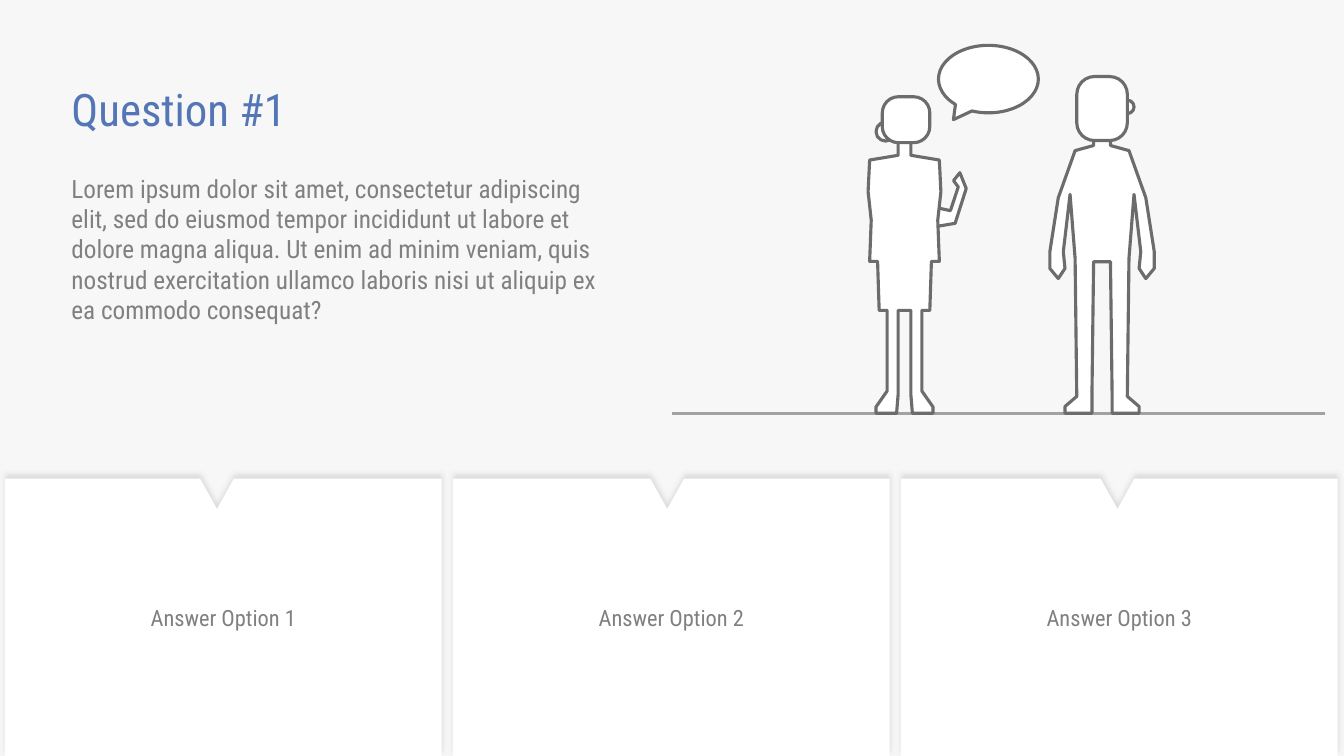
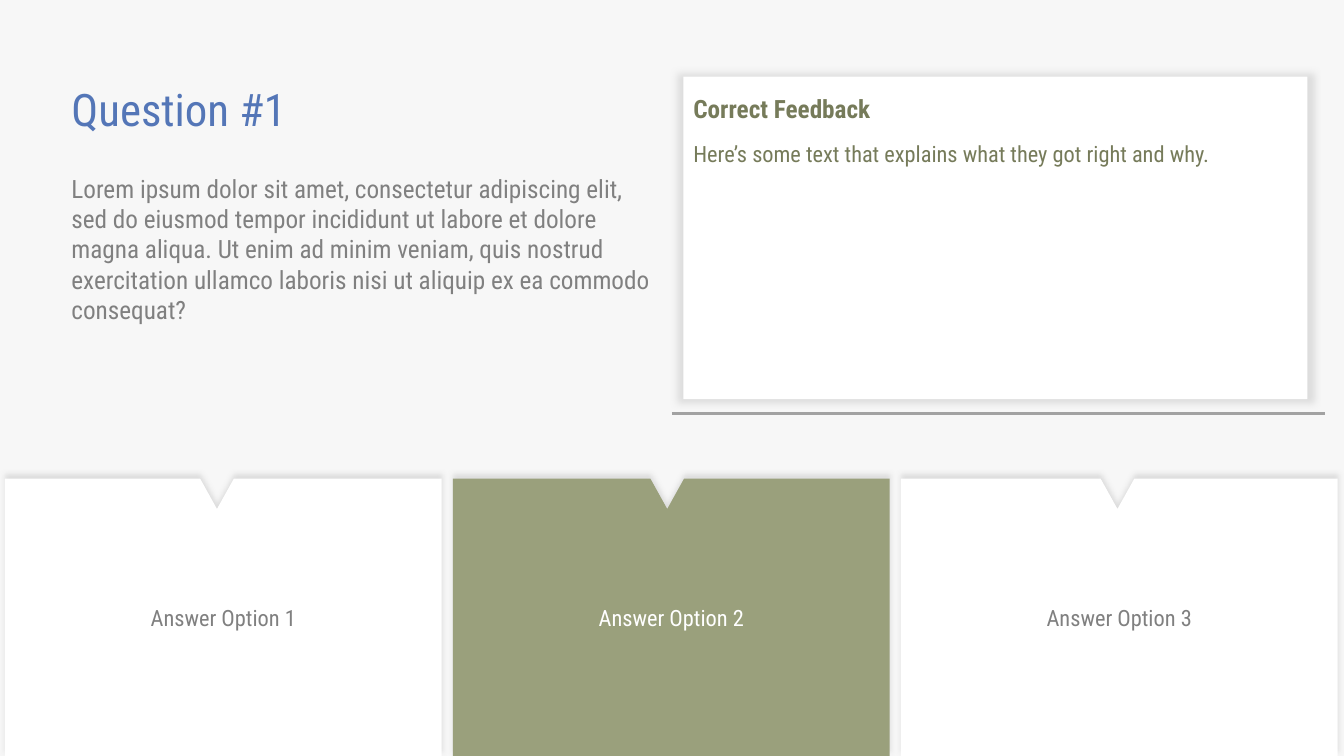
from dataclasses import dataclass

from lxml import etree
from pptx import Presentation
from pptx.dml.color import RGBColor
from pptx.enum import shapes, text
from pptx.oxml import ns
from pptx import util as u

SLIDE_W, SLIDE_H = u.Inches(13.33), u.Inches(7.5)
FONT = "Roboto Condensed"
PAPER, WHITE, GREY = "F7F7F7", "FFFFFF", "808080"
BLUE, GREEN, DARK_GREEN = "5476B7", "9AA07C", "767B5A"
OUTLINE, GROUND, SHADOW = "6C6C6C", "A2A2A2", "B6B6B6"

# Lengths are percentages of the slide's width and height.
MARGIN, TOP = 4.58, 10.13
HALF = 50
GROUND_Y = 54.67
CARD_TOP, CARD_LEFT, CARD_WIDTH, CARD_PITCH = 63.33, 0.37, 32.5, 33.33
NOTCH_LEFT, NOTCH_PITCH, NOTCH_HALF, NOTCH_DEPTH = 16.15, 33.5, 1.25, 4
PANEL_LEFT, PANEL_WIDTH = 50.85, 46.43

QUESTION = (
    "Lorem ipsum dolor sit amet, consectetur adipiscing elit, sed do eiusmod "
    "tempor incididunt ut labore et dolore magna aliqua. Ut enim ad minim veniam, "
    "quis nostrud exercitation ullamco laboris nisi ut aliquip ex ea commodo consequat?"
)
OPTIONS = ["Answer Option 1", "Answer Option 2", "Answer Option 3"]


@dataclass
class Person:
    """A standing figure; its parts are in percent of its own height.

    side holds the right half of the body, as (distance from the middle,
    distance from the crown); the left half is its mirror image.
    """
    middle: float
    crown: float
    head: tuple
    head_detail: tuple
    side: dict
    forearm: tuple = ()


LISTENER = Person(
    middle=82, crown=TOP, head=(-7.5, 0, 15, 19), head_detail=(5.5, 7, 4, 4),
    side={
        "neck": (2.5, 17), "collar": (2.5, 20.5), "shoulder": (8, 22),
        "elbow": (13, 36), "wrist": (15.5, 52), "knuckles": (15.5, 57),
        "fingertips": (13, 60), "palm": (11, 57), "cuff": (11.5, 52),
        "armpit": (9.5, 35), "hip": (8, 54), "ankle": (7.5, 95),
        "toe": (11, 98), "sole": (11, 100), "instep": (3, 100),
        "inner ankle": (3, 95), "crotch": (2.5, 55),
    })
SPEAKER = Person(
    middle=67.3, crown=12.8, head=(-7, 0, 15, 14.5), head_detail=(-9, 8, 6, 6),
    side={
        "neck": (2, 13), "collar": (2, 18.5), "shoulder": (11, 20),
        "sleeve": (11.5, 30), "waist": (10.5, 39), "jacket hem": (11, 52),
        "skirt top": (8.5, 52), "skirt hem": (8, 67.5), "knee": (5.5, 67.5),
        "ankle": (5.5, 93), "toe": (9, 98), "sole": (9, 100), "instep": (2.5, 100),
        "inner ankle": (2, 94), "inner knee": (2, 67.5),
    },
    forearm=((10, 41), (16, 40), (19.5, 29), (17.5, 24), (15.5, 26.5),
             (17, 28.5), (14.5, 36), (10, 35)))


def across(share):
    return u.Emu(round(SLIDE_W * share / 100))


def down(share):
    return u.Emu(round(SLIDE_H * share / 100))


def box(left, top, width, height):
    return across(left), down(top), across(width), down(height)


def colour(value):
    return RGBColor.from_string(value)


def paint(shape, fill, outline=None):
    """Give a shape a flat fill and, if asked, a round-jointed outline."""
    shape.shadow.inherit = False
    shape.fill.solid()
    shape.fill.fore_color.rgb = colour(fill)
    if outline is None:
        shape.line.fill.background()
        return
    shape.line.color.rgb = colour(outline)
    shape.line.width = u.Pt(2.25)
    line = shape._element.spPr.find(ns.qn("a:ln"))
    etree.SubElement(line, ns.qn("a:round"))


def cast_shadow(shape, blur, distance=0, degrees=0, scale=100):
    effects = shape._element.spPr.find(ns.qn("a:effectLst"))
    size = str(scale * 1000)
    shadow = etree.SubElement(
        effects, ns.qn("a:outerShdw"), blurRad=str(u.Pt(blur)),
        dist=str(u.Pt(distance)), dir=str(degrees * 60000),
        sx=size, sy=size, algn="ctr", rotWithShape="0")
    tint = etree.SubElement(shadow, ns.qn("a:srgbClr"), val=SHADOW)
    etree.SubElement(tint, ns.qn("a:alpha"), val="40000")


def write(paragraph, words, size, ink, bold=None):
    run = paragraph.add_run()
    run.text = words
    run.font.name = FONT
    run.font.size = u.Pt(size)
    run.font.bold = bold
    run.font.color.rgb = colour(ink)


def add_text(parent, place, words, size, ink, bold=None):
    frame = parent.add_textbox(*box(*place)).text_frame
    frame.word_wrap = True
    frame.auto_size = text.MSO_AUTO_SIZE.SHAPE_TO_FIT_TEXT
    write(frame.paragraphs[0], words, size, ink, bold)


def add_outline(slide, points):
    """Add a closed shape through points given in EMU."""
    builder = slide.shapes.build_freeform(*points[0])
    builder.add_line_segments(points[1:], close=True)
    return builder.convert_to_shape()


def add_card(slide, index, words, fill, ink):
    left = CARD_LEFT + index * CARD_PITCH
    right = left + CARD_WIDTH
    notch = NOTCH_LEFT + index * NOTCH_PITCH
    corners = [
        (left, CARD_TOP), (notch - NOTCH_HALF, CARD_TOP),
        (notch, CARD_TOP + NOTCH_DEPTH), (notch + NOTCH_HALF, CARD_TOP),
        (right, CARD_TOP), (right, 100), (left, 100),
    ]
    card = add_outline(slide, [(across(x), down(y)) for x, y in corners])
    paint(card, fill)
    cast_shadow(card, blur=4, distance=3, degrees=270)
    frame = card.text_frame
    frame.word_wrap = True
    frame.vertical_anchor = text.MSO_ANCHOR.MIDDLE
    frame.paragraphs[0].alignment = text.PP_ALIGN.CENTER
    write(frame.paragraphs[0], words, 16, ink)


def add_ground(slide):
    ground = slide.shapes.add_connector(
        shapes.MSO_CONNECTOR.STRAIGHT,
        across(HALF), down(GROUND_Y), across(98.55), down(GROUND_Y))
    ground.line.color.rgb = colour(GROUND)
    ground.line.width = u.Pt(2.25)
    etree.SubElement(ground._element.spPr, ns.qn("a:effectLst"))


def add_person(slide, person):
    """Draw a figure from back to front, standing on the ground line."""
    middle, crown = across(person.middle), down(person.crown)
    unit = (down(GROUND_Y) - crown) / 100

    def locate(points):
        return [(round(middle + x * unit), round(crown + y * unit)) for x, y in points]

    def add_part(kind, place):
        left, top, width, height = place
        size = round(width * unit), round(height * unit)
        part = slide.shapes.add_shape(kind, *locate([(left, top)])[0], *size)
        paint(part, WHITE, OUTLINE)
        return part

    if person.forearm:
        paint(add_outline(slide, locate(person.forearm)), WHITE, OUTLINE)
    right = list(person.side.values())
    left = [(-x, y) for x, y in reversed(right)]
    paint(add_outline(slide, locate(right + left)), WHITE, OUTLINE)
    add_part(shapes.MSO_SHAPE.OVAL, person.head_detail)
    head = add_part(shapes.MSO_SHAPE.ROUNDED_RECTANGLE, person.head)
    head.adjustments[0] = 0.35


def add_conversation(slide):
    for person in (LISTENER, SPEAKER):
        add_person(slide, person)
    speech = slide.shapes.add_shape(
        shapes.MSO_SHAPE.OVAL_CALLOUT, *box(69.83, 6, 7.43, 8.93))
    speech.adjustments[0], speech.adjustments[1] = -0.35, 0.6
    paint(speech, WHITE, OUTLINE)


def add_feedback(slide, heading, explanation):
    group = slide.shapes.add_group_shape().shapes
    panel = group.add_shape(
        shapes.MSO_SHAPE.RECTANGLE, *box(PANEL_LEFT, TOP, PANEL_WIDTH, 42.67))
    paint(panel, WHITE)
    cast_shadow(panel, blur=5, scale=102)
    add_text(group, (PANEL_LEFT, 11.73, PANEL_WIDTH, 5.33), heading, 18, DARK_GREEN, True)
    add_text(group, (PANEL_LEFT, 17.87, 44.85, 4.93), explanation, 16, DARK_GREEN)


def add_question_slide(deck, question_width, chosen=None):
    """Add the question, its answer cards and the ground line."""
    slide = deck.slides.add_slide(deck.slide_layouts[6])
    slide.background.fill.solid()
    slide.background.fill.fore_color.rgb = colour(PAPER)
    add_text(slide.shapes, (MARGIN, TOP, 41.26, 8.53), "Question #1", 32, BLUE)
    add_text(slide.shapes, (MARGIN, 22.27, question_width, 21.6), QUESTION, 18, GREY)
    for index, option in enumerate(OPTIONS):
        fill, ink = (GREEN, WHITE) if index == chosen else (WHITE, GREY)
        add_card(slide, index, option, fill, ink)
    add_ground(slide)
    return slide


def main():
    deck = Presentation()
    deck.slide_width, deck.slide_height = SLIDE_W, SLIDE_H
    add_conversation(add_question_slide(deck, question_width=41.26))
    answered = add_question_slide(deck, question_width=45.39, chosen=1)
    add_feedback(answered, "Correct Feedback",
                 "Here’s some text that explains what they got right and why.")
    deck.save("out.pptx")


if __name__ == "__main__":
    main()
